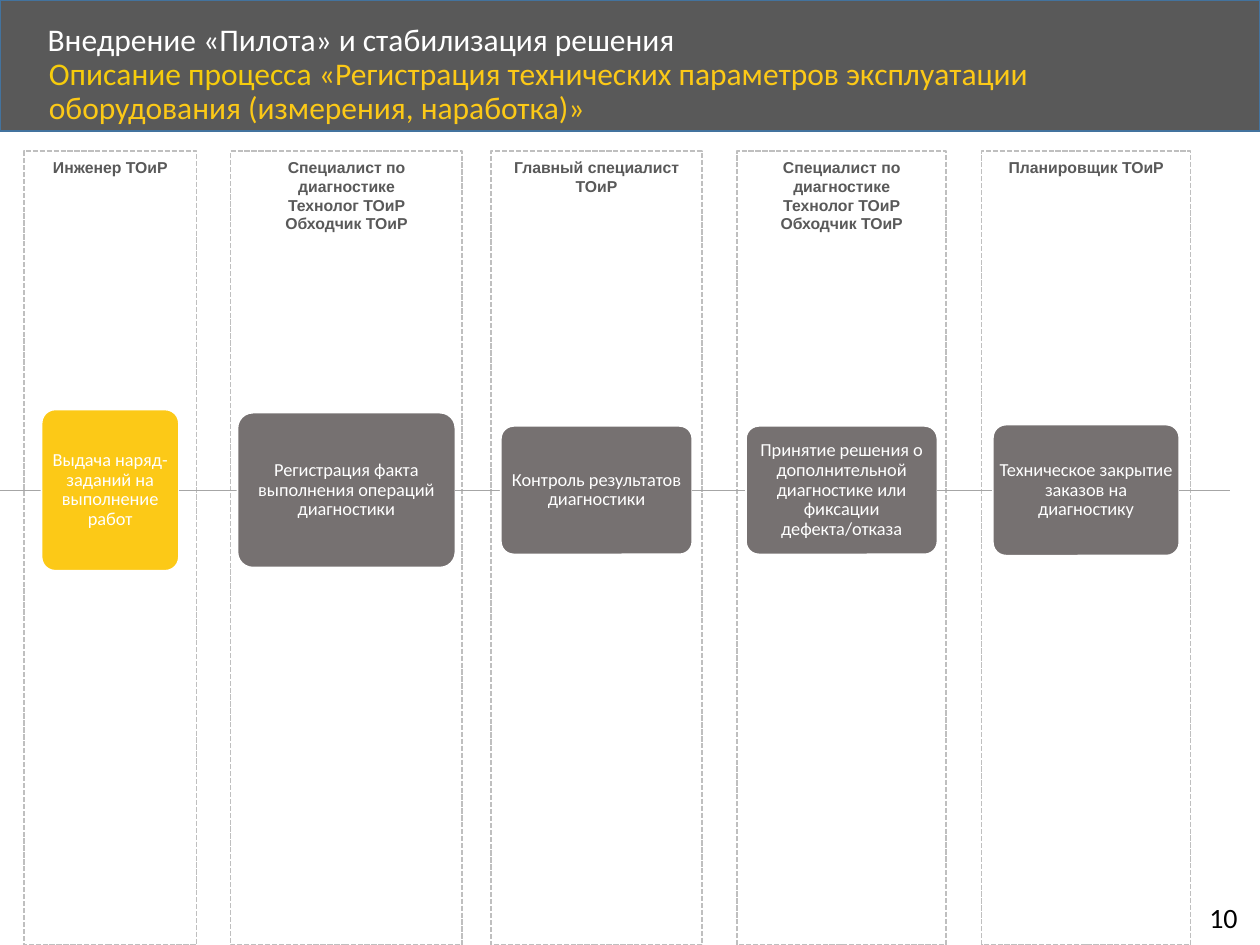
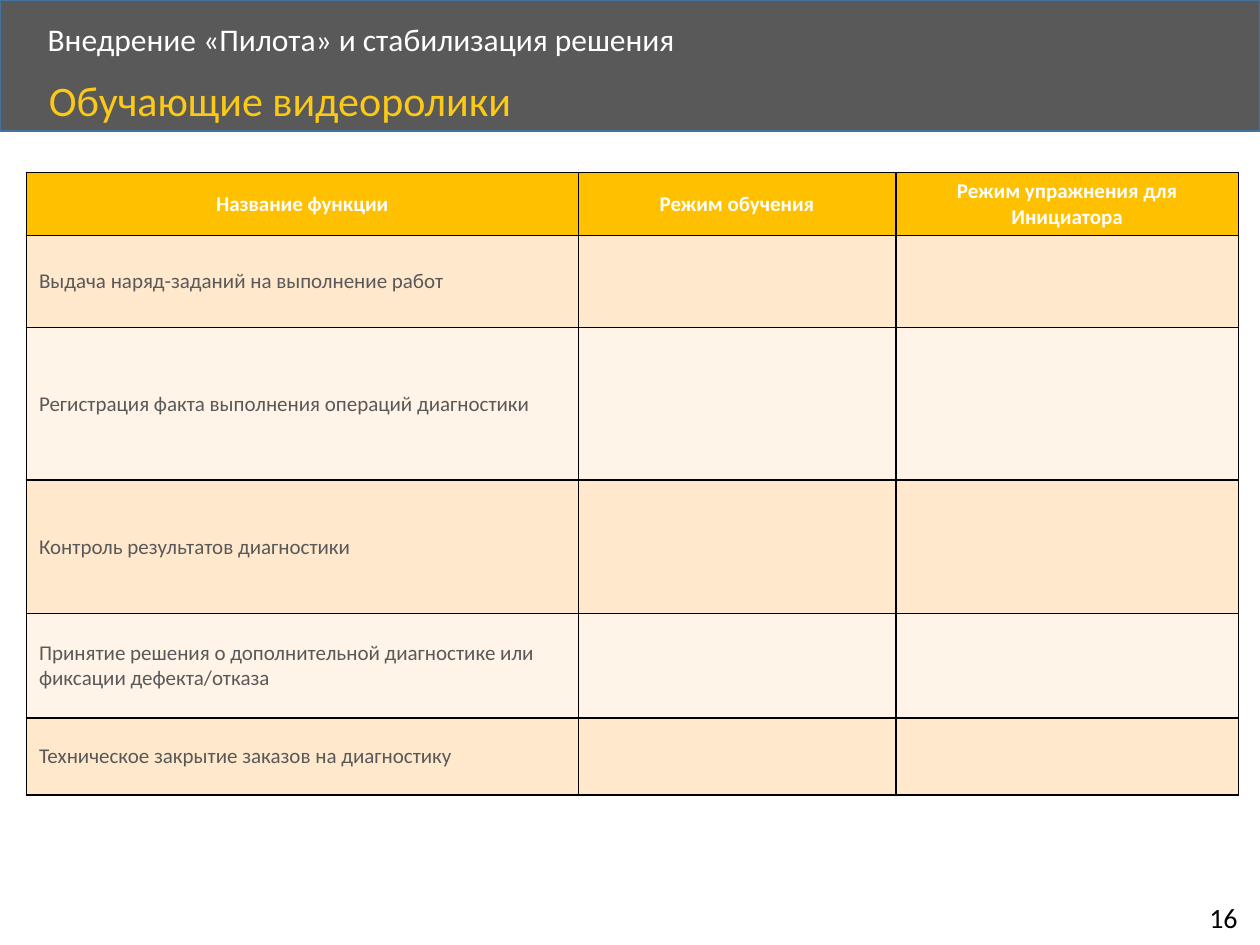
from pptx import Presentation
from pptx.dml.color import RGBColor
from pptx.enum.dml import MSO_LINE
from pptx.enum.shapes import MSO_CONNECTOR, MSO_SHAPE
from pptx.enum.text import MSO_ANCHOR, PP_ALIGN
from pptx.oxml import parse_xml
from pptx.oxml.ns import nsdecls
from pptx.util import Inches, Pt

WHITE = RGBColor(0xFF, 0xFF, 0xFF)
BLACK = RGBColor(0, 0, 0)
DARK_GRAY = RGBColor(0x59, 0x59, 0x59)
STEP_GRAY = RGBColor(0x76, 0x71, 0x71)
LANE_GRAY = RGBColor(0xBF, 0xBF, 0xBF)
FLOW_GRAY = RGBColor(0xA6, 0xA6, 0xA6)
BAND_EDGE = RGBColor(0x43, 0x73, 0x9E)
YELLOW = RGBColor(0xFC, 0xC9, 0x17)
LEAD_YELLOW = RGBColor(0xF6, 0xCC, 0x0C)
HEADER_FILL = RGBColor(0xFF, 0xC0, 0x00)
ROW_FILLS = RGBColor(0xFF, 0xE8, 0xCC), RGBColor(0xFF, 0xF4, 0xE7)

SLIDE_WIDTH, SLIDE_HEIGHT = 10, 7.5
BAND_HEIGHT = 1.04

# Content
SECTION = "Внедрение «Пилота» и стабилизация решения"
PROCESS_SUBTITLE = [
    ("Описание процесса ", LEAD_YELLOW),
    ("«Регистрация технических параметров эксплуатации оборудования "
     "(измерения, наработка)»", YELLOW),
]
VIDEO_SUBTITLE = [("Обучающие видеоролики", YELLOW)]

DIAGNOSTICS_TEAM = "Специалист по диагностике\nТехнолог ТОиР\nОбходчик ТОиР"
STEPS = [
    "Выдача наряд-заданий на выполнение работ",
    "Регистрация факта выполнения операций диагностики",
    "Контроль результатов диагностики",
    "Принятие решения о дополнительной диагностике или фиксации дефекта/отказа",
    "Техническое закрытие заказов на диагностику",
]
# Role, lane left, lane width, step width, step height, step fill
LANES = [
    ("Инженер ТОиР", 0.19, 1.37, 1.09, 1.28, YELLOW),
    (DIAGNOSTICS_TEAM, 1.83, 1.84, 1.73, 1.23, STEP_GRAY),
    ("Главный специалист ТОиР", 3.9, 1.67, 1.52, 1.02, STEP_GRAY),
    (DIAGNOSTICS_TEAM, 5.85, 1.66, 1.52, 1.02, STEP_GRAY),
    ("Планировщик ТОиР", 7.79, 1.66, 1.48, 1.04, STEP_GRAY),
]
LANE_TOP = 1.2
FLOW_Y = 3.89
FLOW_END = 9.76

TABLE_HEADER = ["Название функции", "Режим обучения", "Режим упражнения для Инициатора"]
TABLE_LEFT, TABLE_TOP = 0.21, 1.37
COLUMN_WIDTHS = [4.38, 2.52, 2.72]
ROW_HEIGHTS = [0.47, 0.73, 1.21, 1.06, 0.83, 0.61]


# Helpers
def style_paragraph(paragraph, size, color, name="Calibri", bold=False,
                    align=PP_ALIGN.LEFT, spacing=None):
    paragraph.alignment = align
    if spacing:
        paragraph.line_spacing = spacing
    font = paragraph.font
    font.name, font.size, font.bold = name, Pt(size), bold
    font.color.rgb = color


def add_text(slide, left, top, width, height, runs, size,
             anchor=MSO_ANCHOR.TOP, wrap=True, spacing=None):
    box = slide.shapes.add_textbox(*map(Inches, (left, top, width, height)))
    frame = box.text_frame
    frame.word_wrap, frame.vertical_anchor = wrap, anchor
    paragraph = frame.paragraphs[0]
    style_paragraph(paragraph, size, runs[0][1], spacing=spacing)
    for text, color in runs:
        run = paragraph.add_run()
        run.text = text
        run.font.color.rgb = color


def add_box(slide, kind, left, top, width, height, fill, line):
    shape = slide.shapes.add_shape(kind, *map(Inches, (left, top, width, height)))
    shape.shadow.inherit = False
    if fill is None:
        shape.fill.background()
    else:
        shape.fill.solid()
        shape.fill.fore_color.rgb = fill
    shape.line.color.rgb = line
    shape.line.width = Pt(1)
    shape.text_frame.word_wrap = True
    return shape


def add_flow_line(slide, start, end):
    line = slide.shapes.add_connector(
        MSO_CONNECTOR.STRAIGHT, *map(Inches, (start, FLOW_Y, end, FLOW_Y)))
    line.line.color.rgb = FLOW_GRAY
    line.line.width = Pt(0.5)
    line._element.spPr.append(parse_xml(f"<a:effectLst {nsdecls('a')}/>"))


def style_cell(cell, fill):
    cell.fill.solid()
    cell.fill.fore_color.rgb = fill
    cell.vertical_anchor = MSO_ANCHOR.MIDDLE
    properties = cell._tc.get_or_add_tcPr()
    for position, side in enumerate(("lnL", "lnR", "lnT", "lnB")):
        properties.insert(position, parse_xml(
            f'<a:{side} {nsdecls("a")} w="12700"><a:solidFill>'
            f'<a:srgbClr val="{BLACK}"/></a:solidFill></a:{side}>'))


def add_base_slide(presentation, number, subtitle, subtitle_top, subtitle_size):
    """Blank slide with the title band, section title, subtitle and number."""
    slide = presentation.slides.add_slide(presentation.slide_layouts[6])
    add_box(slide, MSO_SHAPE.RECTANGLE, 0, 0, SLIDE_WIDTH, BAND_HEIGHT, DARK_GRAY, BAND_EDGE)
    add_text(slide, 0.28, 0.14, 8.07, 0.38, [(SECTION, WHITE)], 18,
             anchor=MSO_ANCHOR.MIDDLE, spacing=0.9)
    add_text(slide, 0.29, subtitle_top, 8.67, 0.45, subtitle, subtitle_size, spacing=0.9)
    add_text(slide, 9.5, 7.1, 0.46, 0.37, [(str(number), BLACK)], 16, wrap=False)
    return slide


# Slides
def build_process_slide(presentation):
    slide = add_base_slide(presentation, 10, PROCESS_SUBTITLE, 0.41, 18)
    flow_x = 0
    for step_text, (role, left, width, step_width, step_height, fill) in zip(STEPS, LANES):
        lane = add_box(slide, MSO_SHAPE.RECTANGLE, left, LANE_TOP, width,
                       SLIDE_HEIGHT - LANE_TOP, None, LANE_GRAY)
        lane.line.dash_style = MSO_LINE.SQUARE_DOT
        lane.text_frame.vertical_anchor = MSO_ANCHOR.TOP
        paragraph = lane.text_frame.paragraphs[0]
        paragraph.text = role
        style_paragraph(paragraph, 9, DARK_GRAY, "Arial", True, PP_ALIGN.CENTER)

        # Step centred in its lane, joined to the step before
        step_left = left + (width - step_width) / 2
        add_flow_line(slide, flow_x, step_left)
        flow_x = step_left + step_width
        step = add_box(slide, MSO_SHAPE.ROUNDED_RECTANGLE, step_left,
                       FLOW_Y - step_height / 2, step_width, step_height, fill, WHITE)
        step.adjustments[0] = 0.1
        frame = step.text_frame
        frame.margin_left = frame.margin_right = Inches(0.01)
        frame.margin_top = frame.margin_bottom = Inches(0.01)
        frame.vertical_anchor = MSO_ANCHOR.MIDDLE
        paragraph = frame.paragraphs[0]
        paragraph.text = step_text
        style_paragraph(paragraph, 10.5, WHITE, align=PP_ALIGN.CENTER, spacing=0.9)
    add_flow_line(slide, flow_x, FLOW_END)


def build_video_slide(presentation):
    slide = add_base_slide(presentation, 16, VIDEO_SUBTITLE, 0.59, 24)
    rows = [TABLE_HEADER] + [[step, "", ""] for step in STEPS]
    table = slide.shapes.add_table(
        len(rows), len(TABLE_HEADER), Inches(TABLE_LEFT), Inches(TABLE_TOP),
        Inches(sum(COLUMN_WIDTHS)), Inches(sum(ROW_HEIGHTS))).table
    table.horz_banding = False
    for column, width in zip(table.columns, COLUMN_WIDTHS):
        column.width = Inches(width)
    for row_index, texts in enumerate(rows):
        table.rows[row_index].height = Inches(ROW_HEIGHTS[row_index])
        is_header = row_index == 0
        fill = HEADER_FILL if is_header else ROW_FILLS[(row_index - 1) % 2]
        for column_index, text in enumerate(texts):
            cell = table.cell(row_index, column_index)
            style_cell(cell, fill)
            paragraph = cell.text_frame.paragraphs[0]
            paragraph.text = text
            style_paragraph(paragraph, 12, WHITE if is_header else DARK_GRAY, bold=is_header,
                            align=PP_ALIGN.CENTER if is_header else PP_ALIGN.LEFT)


def main():
    presentation = Presentation()
    presentation.slide_width = Inches(SLIDE_WIDTH)
    presentation.slide_height = Inches(SLIDE_HEIGHT)
    build_process_slide(presentation)
    build_video_slide(presentation)
    presentation.save("out.pptx")


if __name__ == "__main__":
    main()
